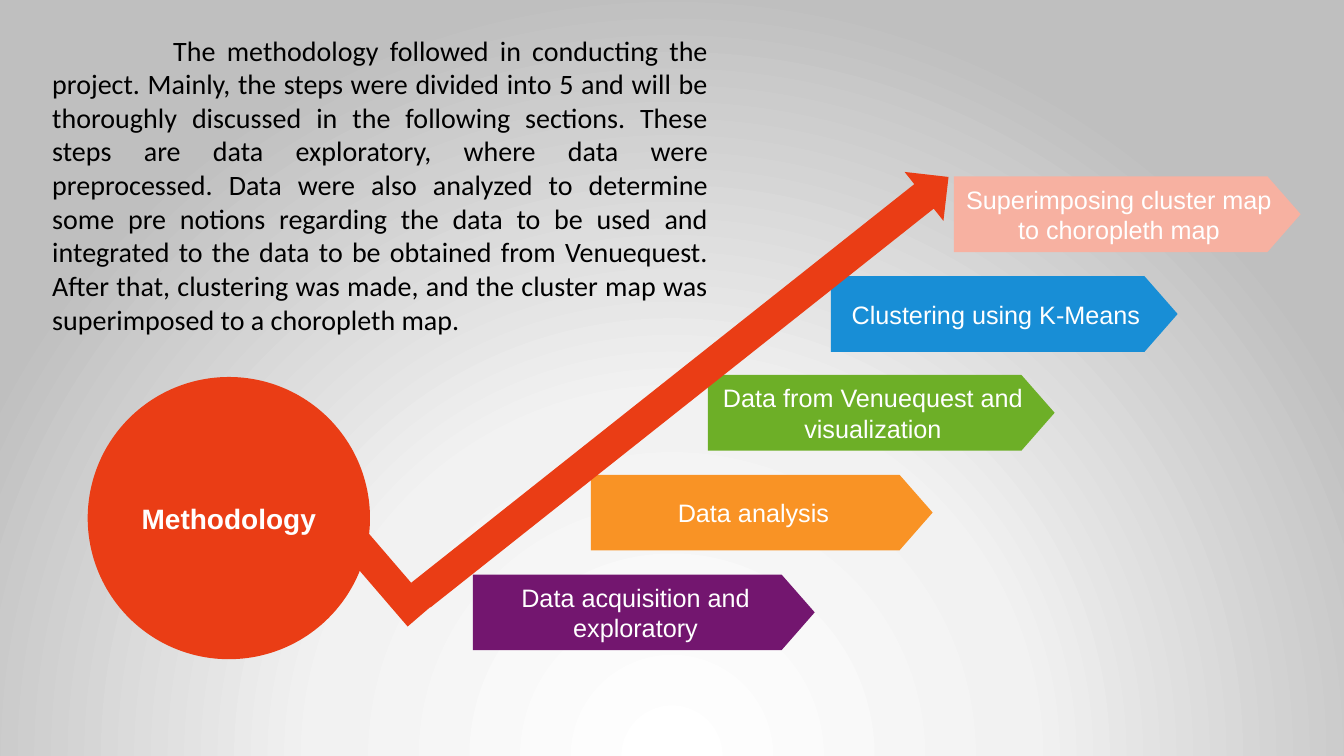
import pptx
import pptx.dml.color
import pptx.enum.shapes
import pptx.enum.text
import pptx.oxml
import pptx.oxml.ns
import pptx.util

RGBColor = pptx.dml.color.RGBColor
Shape = pptx.enum.shapes.MSO_SHAPE
Align = pptx.enum.text.PP_ALIGN

EMU_PER_PX = 9144
WHITE = RGBColor(0xFF, 0xFF, 0xFF)
PALE_GREY = RGBColor(0xF2, 0xF2, 0xF2)
GREY = RGBColor(0xBF, 0xBF, 0xBF)
BLACK = RGBColor(0x00, 0x00, 0x00)
PURPLE = RGBColor(0x73, 0x16, 0x6F)
ORANGE = RGBColor(0xF9, 0x93, 0x25)
GREEN = RGBColor(0x6D, 0xAF, 0x27)
BLUE = RGBColor(0x18, 0x8E, 0xD6)
PINK = RGBColor(0xF7, 0xB1, 0xA1)
RED = RGBColor(0xEA, 0x3D, 0x15)

STEPS = [
    ("Data acquisition and exploratory", 469, 339, PURPLE),
    ("Data analysis", 586, 339, ORANGE),
    ("Data from Venuequest and visualization", 702, 344, GREEN),
    ("Clustering using K-Means", 824, 344, BLUE),
    ("Superimposing cluster map to choropleth map", 946, 344, PINK),
]
FIRST_STEP_TOP = 570
STEP_RISE = 98.75

SUMMARY = (
    "The methodology followed in conducting the project. Mainly, the steps were "
    "divided into 5 and will be thoroughly discussed in the following sections. "
    "These steps are data exploratory, where data were preprocessed. Data were also "
    "analyzed to determine some pre notions regarding the data to be used and "
    "integrated to the data to be obtained from Venuequest. After that, clustering "
    "was made, and the cluster map was superimposed to a choropleth map."
)


def px(length):
    return pptx.util.Emu(length * EMU_PER_PX)


class SlideBuilder:
    label_font = "Arial"
    body_font = "Calibri"

    def __init__(self, presentation):
        self.slide = presentation.slides.add_slide(presentation.slide_layouts[6])

    def background(self, stops):
        stop_xml = "".join(
            f'<a:gs pos="{percent * 1000}"><a:srgbClr val="{color}"/></a:gs>'
            for percent, color in stops
        )
        background = pptx.oxml.parse_xml(
            f'<p:bg {pptx.oxml.ns.nsdecls("p", "a")}><p:bgPr>'
            f'<a:gradFill rotWithShape="1"><a:gsLst>{stop_xml}</a:gsLst>'
            '<a:path path="circle">'
            '<a:fillToRect l="50000" t="130000" r="50000" b="-30000"/></a:path>'
            '</a:gradFill><a:effectLst/></p:bgPr></p:bg>'
        )
        self.slide.element.cSld.insert(0, background)

    def shape(self, kind, left, top, width, height, color, rotation=0):
        shape = self.slide.shapes.add_shape(
            kind, px(left), px(top), px(width), px(height)
        )
        shape.shadow.inherit = False
        shape.fill.solid()
        shape.fill.fore_color.rgb = color
        shape.line.fill.background()
        shape.rotation = rotation
        return shape

    def add_text(self, shape, text, size, font, color, align, bold=False):
        shape.text_frame.word_wrap = True
        paragraph = shape.text_frame.paragraphs[0]
        paragraph.alignment = align
        run = paragraph.add_run()
        run.text = text
        run.font.size = pptx.util.Pt(size)
        run.font.name = font
        run.font.bold = bold
        run.font.color.rgb = color
        return paragraph

    def label(self, shape, text, size, bold=False):
        shape.text_frame.vertical_anchor = pptx.enum.text.MSO_ANCHOR.MIDDLE
        self.add_text(shape, text, size, self.label_font, WHITE, Align.CENTER, bold)

    def step(self, text, left, top, width, color):
        tag = self.shape(Shape.PENTAGON, left, top, width, 75, color)
        tag.adjustments[0] = 0.438
        self.label(tag, text, 18)

    def body(self, text, left, top, width, height, indent):
        box = self.slide.shapes.add_textbox(px(left), px(top), px(width), px(height))
        paragraph = self.add_text(box, text, 20, self.body_font, BLACK, Align.JUSTIFY)
        paragraph._p.get_or_add_pPr().set("indent", str(px(indent)))
        box.text_frame.auto_size = pptx.enum.text.MSO_AUTO_SIZE.SHAPE_TO_FIT_TEXT


def main():
    presentation = pptx.Presentation()
    presentation.slide_width = px(1333)
    presentation.slide_height = px(750)
    builder = SlideBuilder(presentation)
    builder.background([(0, WHITE), (46, PALE_GREY), (100, GREY)])

    for index, (text, left, width, color) in enumerate(STEPS):
        top = round(FIRST_STEP_TOP - index * STEP_RISE)
        builder.step(text, left, top, width, color)

    builder.shape(Shape.RIGHT_ARROW, 345, 352, 668, 62, RED, 321.6)
    builder.shape(Shape.RECTANGLE, 331, 557, 103, 31, RED, 49.3)
    circle = builder.shape(Shape.OVAL, 87, 374, 280, 280, RED)
    builder.label(circle, "Methodology", 20, bold=True)
    builder.body(SUMMARY, 42, 28, 670, 347, indent=120)

    presentation.save("out.pptx")


if __name__ == "__main__":
    main()
